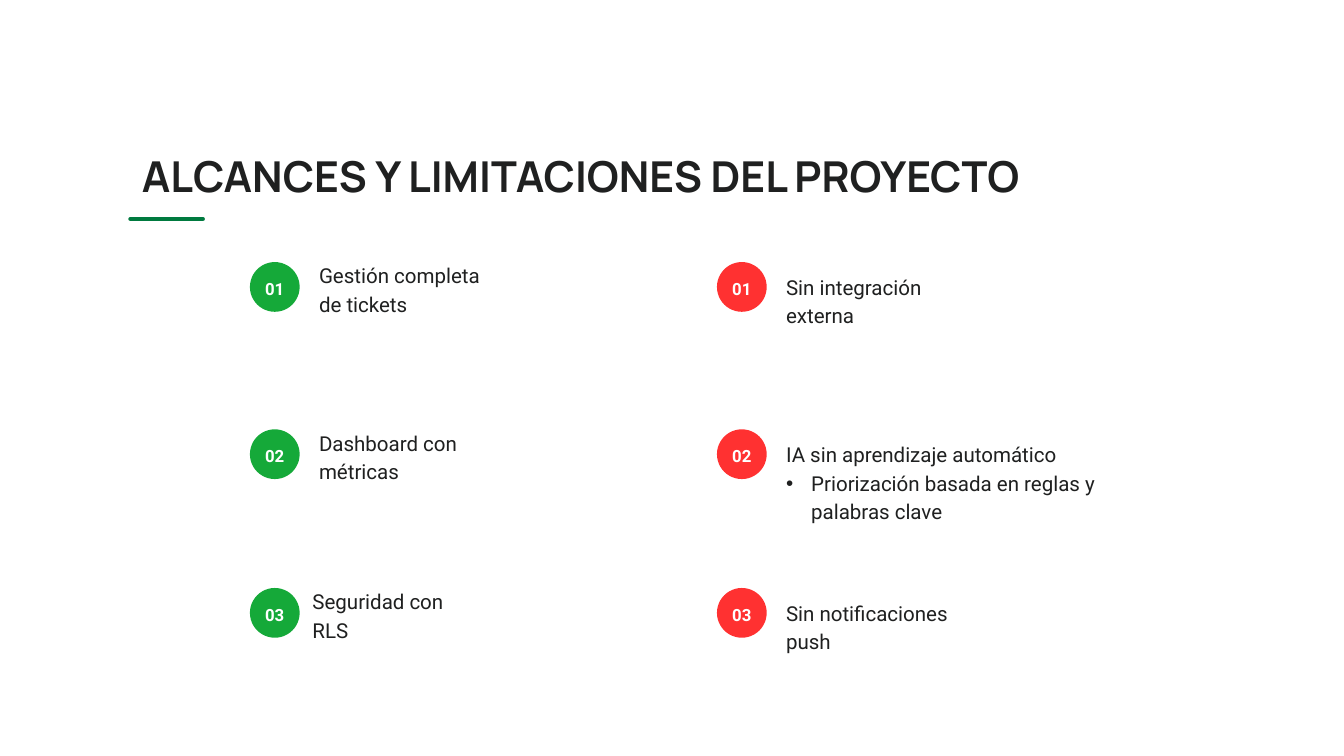
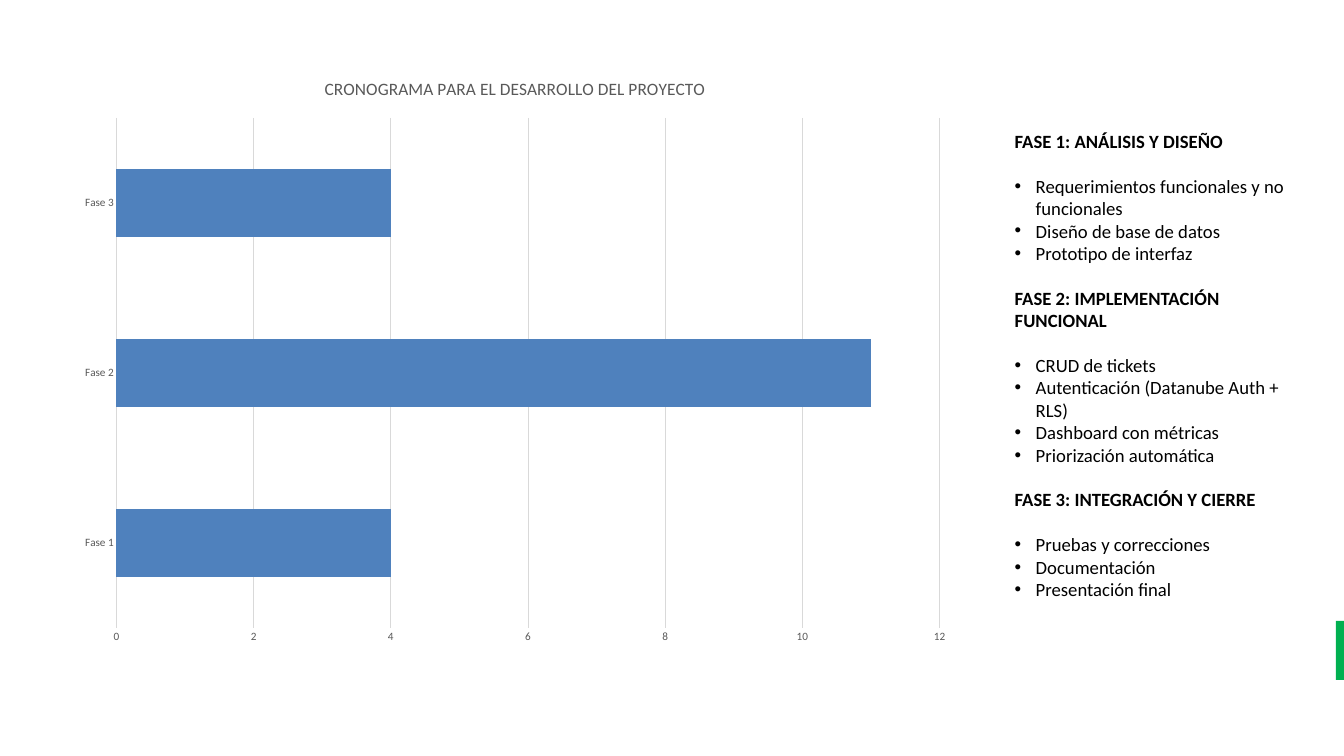
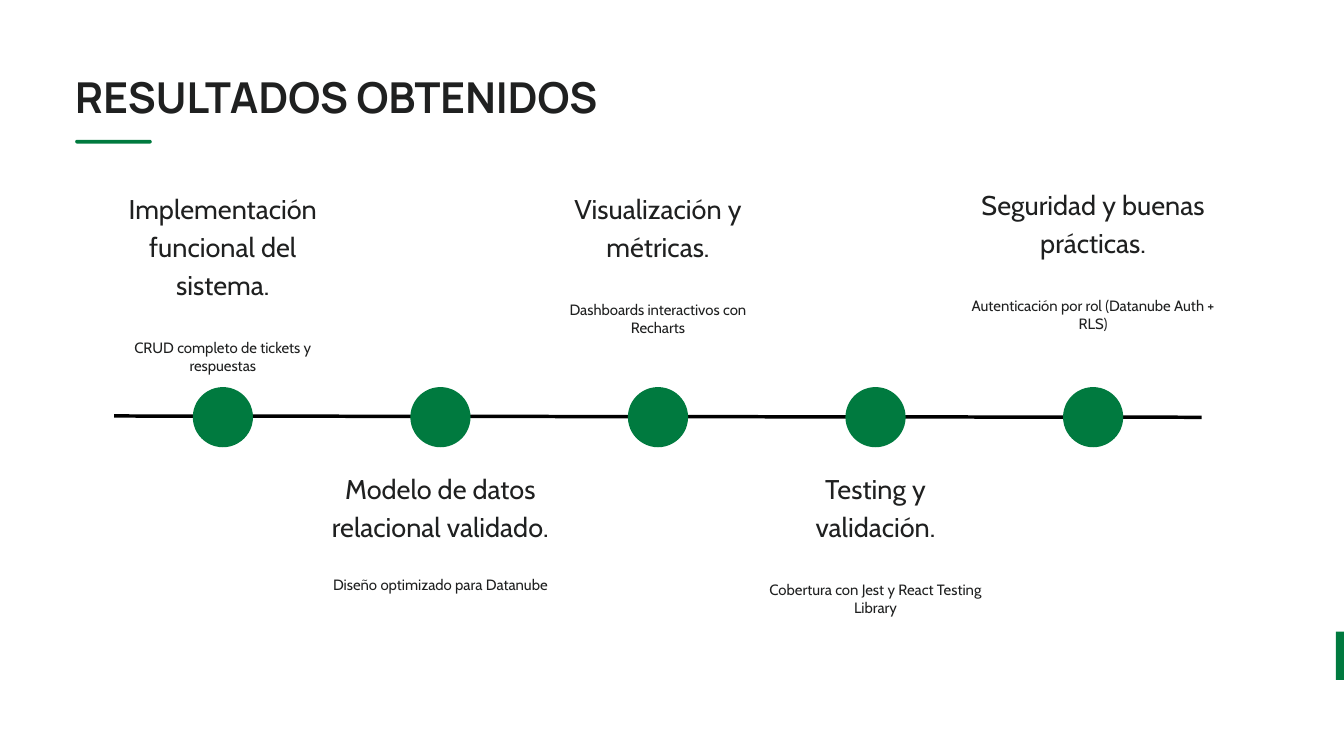
"""Build three project slides: scope, schedule and results."""
import lxml.etree
import pptx
import pptx.chart.data
import pptx.dml.color
import pptx.enum.chart
import pptx.enum.shapes
import pptx.enum.text
import pptx.oxml.ns
import pptx.util

Pt = pptx.util.Pt
Align = pptx.enum.text.PP_ALIGN
Anchor = pptx.enum.text.MSO_ANCHOR
Shape = pptx.enum.shapes.MSO_SHAPE
qn = pptx.oxml.ns.qn

COLORS = {
    "ink": "1F2020", "black": "000000", "white": "FFFFFF", "gray": "595959",
    "grid": "D9D9D9", "brand": "007A3F", "bright": "00B050",
    "scope": "15A939", "limit": "FF3131", "bar": "4F81BD",
}
SLIDE_WIDTH, SLIDE_HEIGHT = 1440, 810
TITLE_ONLY, TITLE_AND_BODY = 5, 1


def color(name):
    return pptx.dml.color.RGBColor.from_string(COLORS[name])


def set_font(font, name, size, color_name, bold=False):
    font.name, font.size, font.bold = name, Pt(size), bold
    font.color.rgb = color(color_name)


def write(frame, text, font="Roboto", size=22, color_name="ink", bold=False,
          align=Align.LEFT, line=None, before=0, after=0, indent=0):
    paragraph = frame.paragraphs[0]
    if paragraph.runs:
        paragraph = frame.add_paragraph()
    paragraph.alignment = align
    paragraph.space_before, paragraph.space_after = Pt(before), Pt(after)
    if line:
        paragraph.line_spacing = Pt(line)
    run = paragraph.add_run()
    run.text = text
    set_font(run.font, font, size, color_name, bold)
    properties = paragraph._p.get_or_add_pPr()
    properties.set("marL", str(Pt(indent)))
    properties.set("indent", str(-Pt(indent)))
    if indent:
        lxml.etree.SubElement(properties, qn("a:buFont")).set("typeface", "Arial")
        lxml.etree.SubElement(properties, qn("a:buChar")).set("char", "•")
    else:
        lxml.etree.SubElement(properties, qn("a:buNone"))


class Deck:
    def __init__(self):
        self.presentation = pptx.Presentation()
        self.presentation.slide_width = Pt(SLIDE_WIDTH)
        self.presentation.slide_height = Pt(SLIDE_HEIGHT)
        self.slide = None

    def add_slide(self, layout):
        layouts = self.presentation.slide_layouts
        self.slide = self.presentation.slides.add_slide(layouts[layout])

    def frame(self, shape, inset=(0, 0), anchor=Anchor.TOP):
        frame = shape.text_frame
        frame.word_wrap = True
        frame.auto_size = pptx.enum.text.MSO_AUTO_SIZE.NONE
        frame.vertical_anchor = anchor
        frame.margin_left = frame.margin_right = Pt(inset[0])
        frame.margin_top = frame.margin_bottom = Pt(inset[1])
        return frame

    def place(self, shape, left, top, width, height):
        shape.left, shape.top = Pt(left), Pt(top)
        shape.width, shape.height = Pt(width), Pt(height)

    def shape(self, kind, left, top, width, height, fill):
        shape = self.slide.shapes.add_shape(
            kind, Pt(left), Pt(top), Pt(width), Pt(height))
        shape.shadow.inherit = False
        shape.fill.solid()
        shape.fill.fore_color.rgb = color(fill)
        shape.line.fill.background()
        return shape

    def title(self, text, left, top, width, rule_left, rule_top):
        title = self.slide.shapes.title
        self.place(title, left, top, width, 57.6)
        write(self.frame(title), text, font="Manrope", size=45.6, bold=True, line=53.4)
        rule = self.shape(Shape.ROUNDED_RECTANGLE, rule_left, rule_top, 82, 4, "brand")
        rule.adjustments[0] = 0.5

    def edge_band(self, top, fill):
        self.shape(Shape.RECTANGLE, 1431.4, top, SLIDE_WIDTH - 1431.4, 728.6 - top, fill)

    def text_box(self, left, top, width, height):
        return self.frame(self.slide.shapes.add_textbox(
            Pt(left), Pt(top), Pt(width), Pt(height)))

    def body(self, left, top, width, height):
        body = self.slide.placeholders[1]
        self.place(body, left, top, width, height)
        return self.frame(body, inset=(7.2, 3.6))

    def remove_title(self):
        title = self.slide.shapes.title._element
        title.getparent().remove(title)

    def badge(self, left, top, number, fill):
        circle = self.shape(Shape.OVAL, left, top, 53.3, 53.3, fill)
        write(self.frame(circle, anchor=Anchor.MIDDLE), f"{number:02}", size=18,
              color_name="white", bold=True, align=Align.CENTER, line=25.2)

    def line(self, start, end, width):
        connector = self.slide.shapes.add_connector(
            pptx.enum.shapes.MSO_CONNECTOR.STRAIGHT, *map(Pt, start + end))
        connector.line.color.rgb = color("black")
        connector.line.width = Pt(width)
        lxml.etree.SubElement(connector._element.spPr, qn("a:effectLst"))

    def bar_chart(self, title, values, left, top, width, height):
        data = pptx.chart.data.CategoryChartData()
        data.categories = list(values)
        data.add_series(title, list(values.values()))
        chart = self.slide.shapes.add_chart(
            pptx.enum.chart.XL_CHART_TYPE.BAR_STACKED,
            Pt(left), Pt(top), Pt(width), Pt(height), data).chart
        set_font(chart.font, "Calibri", 10, "black")
        chart.has_legend = False
        chart.has_title = True
        write(chart.chart_title.text_frame, title, font="Calibri", size=18.6,
              color_name="gray", align=Align.CENTER)
        chart.chart_title.include_in_layout = False
        plot = chart.plots[0]
        plot.gap_width, plot.overlap, plot.vary_by_categories = 150, 100, False
        fill = plot.series[0].format.fill
        fill.solid()
        fill.fore_color.rgb = color("bar")
        for axis in (chart.category_axis, chart.value_axis):
            axis.major_tick_mark = pptx.enum.chart.XL_TICK_MARK.NONE
            axis.minor_tick_mark = pptx.enum.chart.XL_TICK_MARK.NONE
            set_font(axis.tick_labels.font, "Calibri", 12, "gray")
        chart.value_axis.format.line.fill.background()
        chart.value_axis.has_major_gridlines = True
        for line in (chart.category_axis.format.line,
                     chart.value_axis.major_gridlines.format.line):
            line.color.rgb = color("grid")
            line.width = Pt(0.75)


def scope_slide(deck):
    deck.add_slide(TITLE_ONLY)
    deck.title("ALCANCES Y LIMITACIONES DEL PROYECTO", 152, 162, 1031, 137.5, 232.6)
    row_tops = (280.8, 460, 630)
    columns = (
        ("scope", 267.8, -3, (("Gestión completa de tickets", 74, 176),
                              ("Dashboard con métricas", 74, 176),
                              ("Seguridad con RLS", 67, 176))),
        ("limit", 768.2, 9, (("Sin integración externa", 74, 176),
                             ("IA sin aprendizaje automático", 74, 369),
                             ("Sin notificaciones push", 74, 176))),
    )
    for fill, left, text_drop, items in columns:
        for number, (top, (text, gap, width)) in enumerate(zip(row_tops, items), 1):
            deck.badge(left, top, number, fill)
            frame = deck.text_box(left + gap, top + text_drop, width, 92)
            write(frame, text, line=30.8)
            if text.startswith("IA"):
                write(frame, "Priorización basada en reglas y palabras clave",
                      line=30.8, indent=27)


def schedule_slide(deck):
    deck.add_slide(TITLE_AND_BODY)
    deck.remove_title()
    deck.edge_band(665.3, "bright")
    deck.bar_chart("CRONOGRAMA PARA EL DESARROLLO DEL PROYECTO",
                   {"Fase 1": 4, "Fase 2": 11, "Fase 3": 4}, 72, 62.6, 960, 640)
    phases = {
        "FASE 1: ANÁLISIS Y DISEÑO": (
            "Requerimientos funcionales y no funcionales",
            "Diseño de base de datos", "Prototipo de interfaz"),
        "FASE 2: IMPLEMENTACIÓN FUNCIONAL": (
            "CRUD de tickets", "Autenticación (Datanube Auth + RLS)",
            "Dashboard con métricas", "Priorización automática"),
        "FASE 3: INTEGRACIÓN Y CIERRE": (
            "Pruebas y correcciones", "Documentación", "Presentación final"),
    }
    frame = deck.body(1080, 135.4, 318, 516)
    style = {"font": "Calibri", "size": 20, "color_name": "black"}
    for index, (heading, tasks) in enumerate(phases.items()):
        write(frame, heading, bold=True, before=24 if index else 0, after=24, **style)
        for task in tasks:
            write(frame, task, indent=22.5, **style)


def results_slide(deck):
    deck.add_slide(TITLE_ONLY)
    deck.edge_band(676.8, "brand")
    deck.title("RESULTADOS OBTENIDOS", 80.6, 77.8, 601, 80.6, 149.8)
    deck.line((122.4, 445.7), (1287.4, 447.1), 3.75)
    results = (
        ("Implementación funcional del sistema.",
         "CRUD completo de tickets y respuestas", 201, 233, 40.5),
        ("Modelo de datos relacional validado.",
         "Diseño optimizado para Datanube", 500.4, 233, 35),
        ("Visualización y métricas.",
         "Dashboards interactivos con Recharts", 201, 233, 40.5),
        ("Testing y validación.",
         "Cobertura con Jest y React Testing Library", 500.4, 233, 40.5),
        ("Seguridad y buenas prácticas.",
         "Autenticación por rol (Datanube Auth + RLS)", 196.6, 278, 40.5),
    )
    diameter = 64.5
    for index, (heading, detail, top, width, gap) in enumerate(results):
        center = 238.8 + 233.1 * index
        frame = deck.text_box(center - width / 2, top, width, 200)
        write(frame, heading, font="Cabin", size=29, align=Align.CENTER,
              line=40.5, after=gap)
        write(frame, detail, font="Cabin", size=16, align=Align.CENTER)
        deck.shape(Shape.OVAL, center - diameter / 2, 414.7, diameter, diameter, "brand")


def main():
    deck = Deck()
    scope_slide(deck)
    schedule_slide(deck)
    results_slide(deck)
    deck.presentation.save("out.pptx")


if __name__ == "__main__":
    main()
